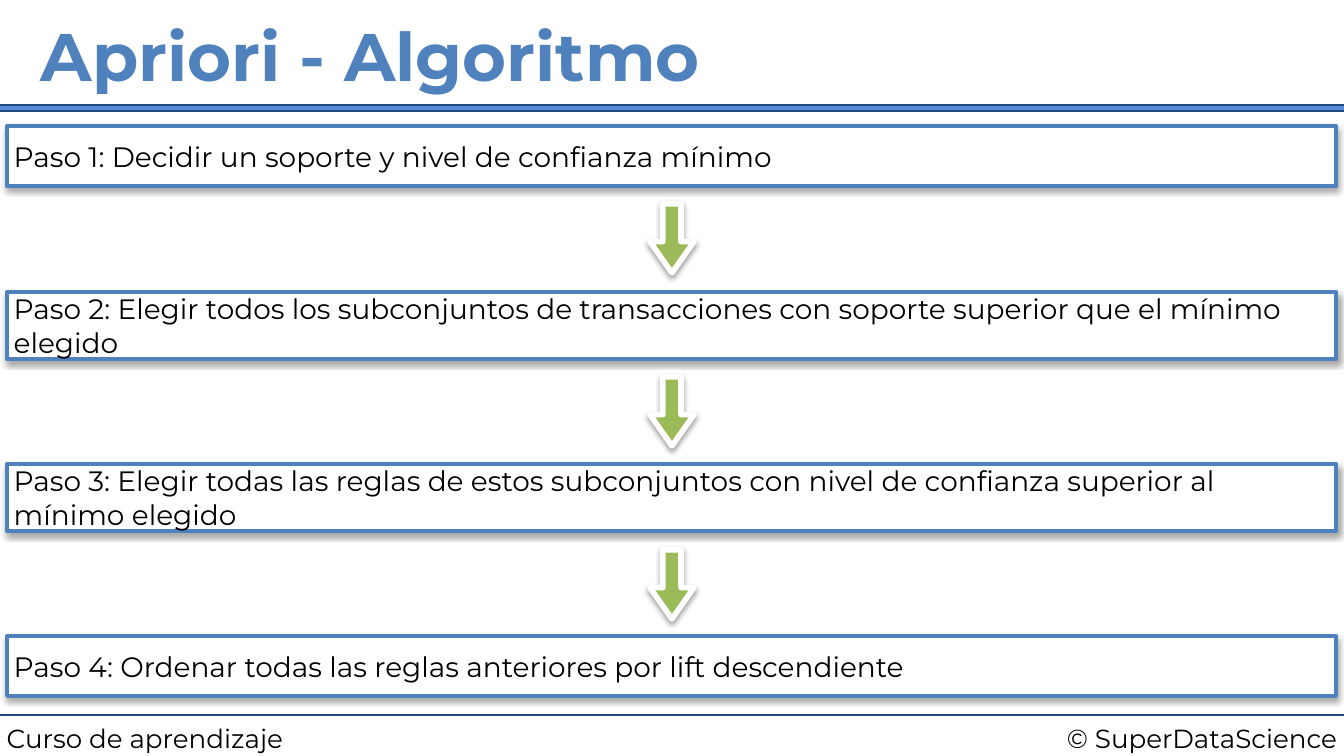
from dataclasses import dataclass

from lxml import etree
from pptx import Presentation
from pptx.dml.color import RGBColor
from pptx.enum.shapes import MSO_CONNECTOR, MSO_SHAPE
from pptx.enum.text import MSO_ANCHOR, PP_ALIGN
from pptx.oxml.ns import qn
from pptx.util import Emu, Inches, Pt

RECTANGLE = MSO_SHAPE.RECTANGLE
DOWN_ARROW = MSO_SHAPE.DOWN_ARROW
STRAIGHT = MSO_CONNECTOR.STRAIGHT
TOP, MIDDLE = MSO_ANCHOR.TOP, MSO_ANCHOR.MIDDLE
LEFT, RIGHT = PP_ALIGN.LEFT, PP_ALIGN.RIGHT

WIDTH, HEIGHT = 1344, 756
EMU_PER_PX = Inches(10) / WIDTH


@dataclass(frozen=True)
class Theme:
    font: str = "Montserrat"
    blue: str = "4F81BD"
    bar: str = "558ED5"
    navy: str = "1F497D"
    green: str = "9BBB59"
    white: str = "FFFFFF"
    black: str = "000000"
    title_size: int = 36
    step_size: int = 15
    footer_size: int = 14


THEME = Theme()

# Top, height and wording of each step
STEPS = [
    (126, 60, "Paso 1: Decidir un soporte y nivel de confianza mínimo"),
    (292, 67, "Paso 2: Elegir todos los subconjuntos de transacciones con "
              "soporte superior que el mínimo elegido"),
    (464, 67, "Paso 3: Elegir todas las reglas de estos subconjuntos con "
              "nivel de confianza superior al mínimo elegido"),
    (636, 60, "Paso 4: Ordenar todas las reglas anteriores por lift descendiente"),
]
ARROW_TOP, ARROW_PITCH = 204, 173
ARROW_WIDTH, ARROW_HEIGHT = 44, 69


def px(*lengths):
    return [Emu(round(length * EMU_PER_PX)) for length in lengths]


def rgb(color):
    return RGBColor.from_string(color)


def write(shape, text, size, color=THEME.black, bold=False, align=LEFT, anchor=MIDDLE):
    frame = shape.text_frame
    frame.word_wrap = True
    frame.vertical_anchor = anchor
    inset = Inches(0.05)
    frame.margin_left = frame.margin_right = inset
    frame.margin_top = frame.margin_bottom = inset
    para = frame.paragraphs[0]
    para.text = text
    para.alignment = align
    para.font.name = THEME.font
    para.font.size = Pt(size)
    para.font.bold = bold
    para.font.color.rgb = rgb(color)


def add_text(page, area, text, size, **style):
    write(page.shapes.add_textbox(*px(*area)), text, size, **style)


def add_block(page, kind, area, fill, line, line_width):
    block = page.shapes.add_shape(kind, *px(*area))
    block.shadow.inherit = False
    block.fill.solid()
    block.fill.fore_color.rgb = rgb(fill)
    block.line.color.rgb = rgb(line)
    block.line.width = Pt(line_width)
    return block


def add_shadow(shape, opacity, distance, angle):
    effects = shape._element.spPr.find(qn("a:effectLst"))
    shadow = etree.SubElement(
        effects, qn("a:outerShdw"), blurRad=str(Pt(3)), dist=str(Pt(distance)),
        dir=str(angle * 60000), rotWithShape="0")
    color = etree.SubElement(shadow, qn("a:srgbClr"), val=THEME.black)
    etree.SubElement(color, qn("a:alpha"), val=str(opacity * 1000))


def add_step(page, top, height, text):
    box = add_block(page, RECTANGLE, (7, top, 1329, height), THEME.white, THEME.blue, 2)
    add_shadow(box, opacity=35, distance=1.8, angle=90)
    write(box, text, THEME.step_size)


def add_arrow(page, top):
    area = ((WIDTH - ARROW_WIDTH) / 2, top, ARROW_WIDTH, ARROW_HEIGHT)
    arrow = add_block(page, DOWN_ARROW, area, THEME.green, THEME.white, 3)
    arrow.adjustments[0] = 0.415
    arrow.adjustments[1] = 0.71
    add_shadow(arrow, opacity=38, distance=1.6, angle=85)


def add_rule(page, y):
    rule = page.shapes.add_connector(STRAIGHT, *px(0, y, WIDTH, y))
    rule.line.color.rgb = rgb(THEME.navy)
    rule.line.width = Pt(1.5)
    etree.SubElement(rule._element.spPr, qn("a:effectLst"))


def main():
    deck = Presentation()
    deck.slide_width, deck.slide_height = px(WIDTH, HEIGHT)
    page = deck.slides.add_slide(deck.slide_layouts[6])

    # Footer
    add_rule(page, 715)
    add_text(page, (952, 716, 392, 46), "© SuperDataScience", THEME.footer_size,
             align=RIGHT, anchor=TOP)
    add_text(page, (0, 716, 437, 46), "Curso de aprendizaje", THEME.footer_size,
             anchor=TOP)

    # Title and the bar under it
    add_block(page, RECTANGLE, (-5, 105, WIDTH + 10, 6), THEME.bar, THEME.navy, 0.75)
    add_text(page, (34, 0, 1277, 109), "Apriori - Algoritmo", THEME.title_size,
             color=THEME.blue, bold=True)

    # Steps, with an arrow between each pair
    for top, height, text in STEPS:
        add_step(page, top, height, text)
    for index in range(len(STEPS) - 1):
        add_arrow(page, ARROW_TOP + index * ARROW_PITCH)

    deck.save("out.pptx")


if __name__ == "__main__":
    main()
